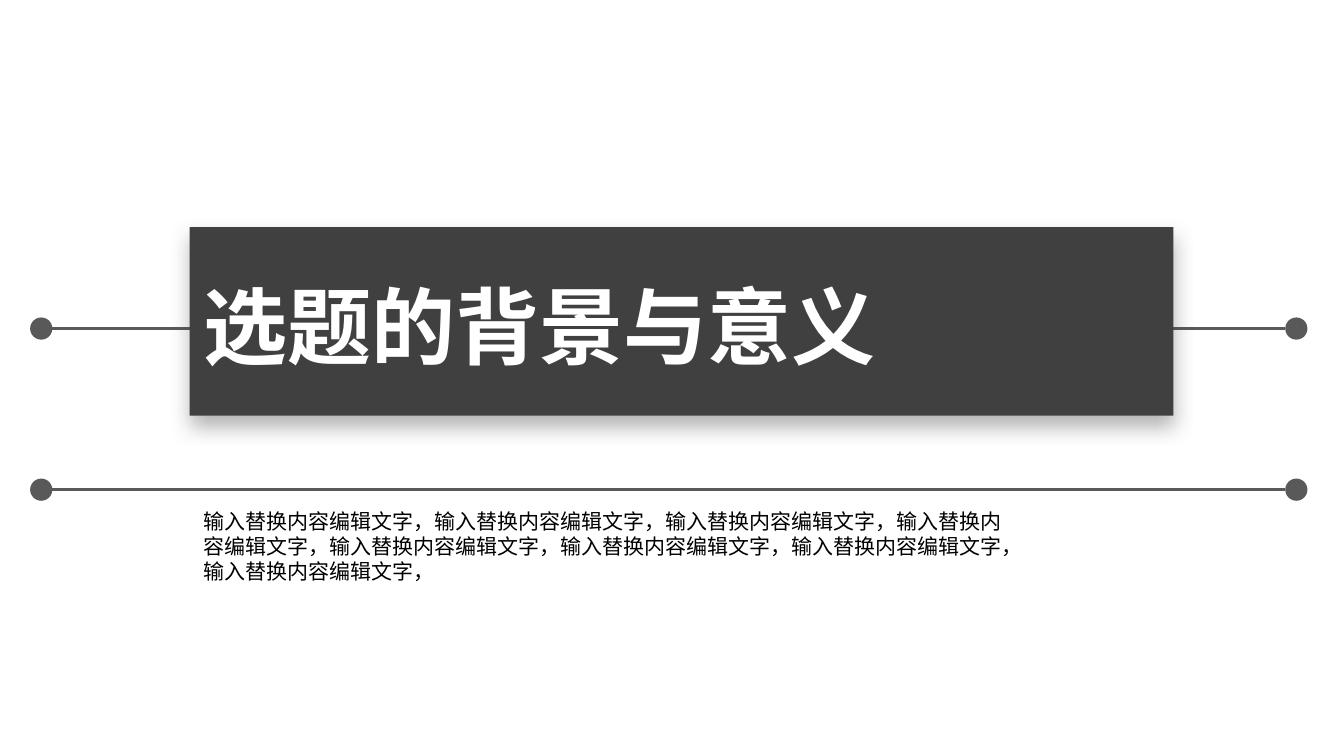
from lxml import etree
from pptx import Presentation
from pptx.dml.color import RGBColor
from pptx.enum.shapes import MSO_CONNECTOR, MSO_SHAPE
from pptx.enum.text import MSO_AUTO_SIZE
from pptx.oxml import parse_xml
from pptx.oxml.ns import nsdecls, qn
from pptx.util import Cm, Pt

COLOURS = {
    "rail": "595959",
    "banner": "404040",
    "title": "FFFFFF",
    "body": "000000",
}
FONT = "Noto Sans CJK SC"
DOT = 0.56
RAIL_LEFT = 1.32
RAIL_RIGHT = 32.39


def colour(name):
    return RGBColor.from_string(COLOURS[name])


def add_dot(group, left, middle):
    dot = group.shapes.add_shape(
        MSO_SHAPE.OVAL, Cm(left), Cm(middle - DOT / 2), Cm(DOT), Cm(DOT))
    dot.shadow.inherit = False
    dot.fill.solid()
    dot.fill.fore_color.rgb = colour("rail")
    dot.line.fill.background()


def add_rail(group, middle):
    rail = group.shapes.add_connector(
        MSO_CONNECTOR.STRAIGHT,
        Cm(RAIL_LEFT), Cm(middle), Cm(RAIL_RIGHT), Cm(middle))
    rail.line.color.rgb = colour("rail")
    rail.line.width = Pt(2.25)
    etree.SubElement(rail._element.spPr, qn("a:effectLst"))
    add_dot(group, RAIL_LEFT - DOT, middle)
    add_dot(group, RAIL_RIGHT, middle)


def add_banner(page):
    banner = page.shapes.add_shape(
        MSO_SHAPE.RECTANGLE, Cm(4.78), Cm(5.72), Cm(24.79), Cm(4.75))
    banner.rotation = 180
    banner.fill.solid()
    banner.fill.fore_color.rgb = colour("banner")
    banner.line.fill.background()
    banner._element.spPr.append(parse_xml(
        f'<a:effectLst {nsdecls("a")}>'
        f'<a:outerShdw blurRad="{Pt(15)}" dist="{Pt(7)}" dir="5400000" '
        'rotWithShape="0">'
        f'<a:srgbClr val="{COLOURS["banner"]}"><a:alpha val="40000"/></a:srgbClr>'
        '</a:outerShdw></a:effectLst>'))


def add_text(page, text, left, top, width, height, size, name, bold=False):
    box = page.shapes.add_textbox(Cm(left), Cm(top), Cm(width), Cm(height))
    frame = box.text_frame
    frame.word_wrap = True
    frame.auto_size = MSO_AUTO_SIZE.SHAPE_TO_FIT_TEXT
    frame.text = text
    para = frame.paragraphs[0]
    para.line_spacing = Pt(size * 1.2)
    span = para.runs[0]
    span.font.size = Pt(size)
    span.font.bold = bold
    span.font.name = FONT
    span.font.color.rgb = colour(name)
    east_asian = etree.SubElement(span.font._element, qn("a:ea"))
    east_asian.set("typeface", FONT)


def main():
    deck = Presentation()
    deck.slide_width = Cm(33.87)
    deck.slide_height = Cm(19.05)
    page = deck.slides.add_slide(deck.slide_layouts[6])
    rails = page.shapes.add_group_shape()
    for middle in (8.28, 12.34):
        add_rail(rails, middle)
    add_banner(page)
    add_text(page, "选题的背景与意义", 4.88, 6.8, 18.21, 2.82, 60, "title", True)
    add_text(page, "输入替换内容编辑文字，" * 8, 4.88, 12.68, 20.96, 2.18, 15, "body")
    deck.save("out.pptx")


if __name__ == "__main__":
    main()
